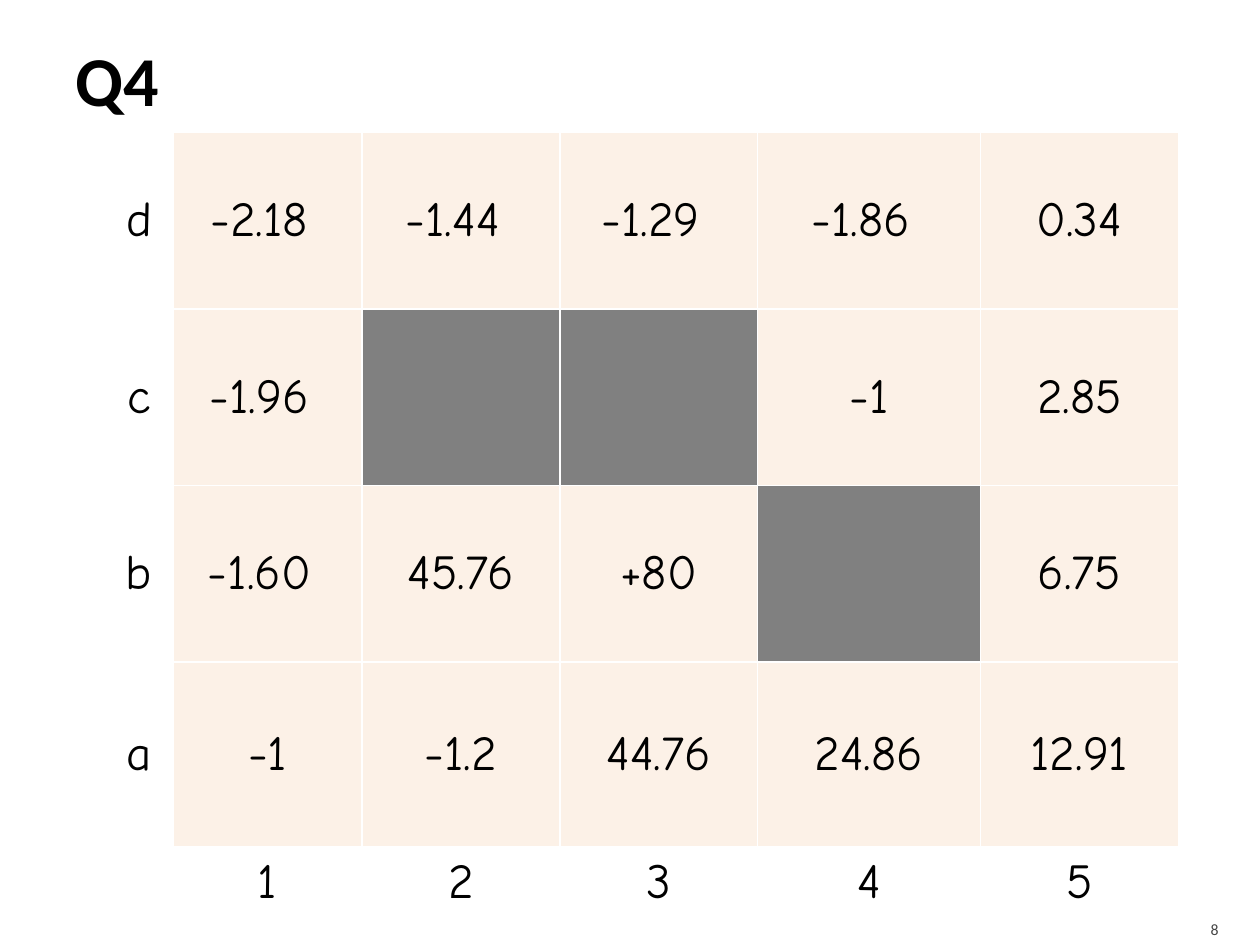
from dataclasses import dataclass

from lxml import etree
from pptx import Presentation
from pptx.dml.color import RGBColor
from pptx.enum import text
from pptx.oxml import ns
from pptx.util import Pt


@dataclass(frozen=True)
class Theme:
    title_font: str = "Calibri"
    grid_font: str = "Comic Neue"
    title_size: int = 40
    grid_size: int = 28
    number_size: int = 9
    ink: str = "000000"
    muted: str = "454545"
    open_cell: str = "FCF1E7"
    wall: str = "808080"
    border: str = "FFFFFF"


theme = Theme()


def style_paragraph(paragraph, font, size, color, alignment, bold=False):
    paragraph.alignment = alignment
    paragraph.font.name = font
    paragraph.font.size = Pt(size)
    paragraph.font.bold = bold
    paragraph.font.color.rgb = RGBColor.from_string(color)


def add_borders(cell):
    properties = cell._tc.get_or_add_tcPr()
    for side in ("lnL", "lnR", "lnT", "lnB"):
        line = etree.SubElement(properties, ns.qn(f"a:{side}"), w=str(Pt(1)))
        fill = etree.SubElement(line, ns.qn("a:solidFill"))
        etree.SubElement(fill, ns.qn("a:srgbClr"), val=theme.border)


presentation = Presentation()
presentation.slide_width, presentation.slide_height = Pt(720), Pt(540)
slide = presentation.slides.add_slide(presentation.slide_layouts[5])

# Title
title = slide.shapes.title
title.left, title.top, title.width, title.height = Pt(36), Pt(5.76), Pt(648), Pt(77.76)
frame = title.text_frame
frame.text = "Q4"
frame.vertical_anchor = text.MSO_ANCHOR.MIDDLE
frame.margin_left = Pt(7.2)
frame.margin_right = frame.margin_top = frame.margin_bottom = Pt(3.6)
style_paragraph(frame.paragraphs[0], theme.title_font, theme.title_size, theme.ink,
                text.PP_ALIGN.LEFT, bold=True)

# Slide number
number = slide.shapes.add_textbox(Pt(645.84), Pt(518.4), Pt(57.6), Pt(21.6))
frame = number.text_frame
frame.text = "8"
frame.word_wrap = True
frame.vertical_anchor = text.MSO_ANCHOR.MIDDLE
frame.margin_bottom = 0
style_paragraph(frame.paragraphs[0], theme.title_font, theme.number_size, theme.muted,
                text.PP_ALIGN.RIGHT)

# Grid of values: row letters on the left, column numbers below, None is a wall
grid = [
    ["d", "-2.18 ", "-1.44 ", "-1.29 ", "-1.86 ", "0.34"],
    ["c", "-1.96 ", None, None, "-1", "2.85"],
    ["b", "-1.60 ", "45.76", "+80", None, "6.75"],
    ["a", "-1", "-1.2", "44.76", "24.86", "12.91"],
    ["", "1", "2", "3", "4", "5"],
]
column_widths = [38.88, 108, 113.04, 113.04, 127.44, 113.04]
row_heights = [100.8, 100.8, 100.8, 105.84, 40.32]

table = slide.shapes.add_table(
    len(row_heights), len(column_widths), Pt(60), Pt(75.8),
    Pt(sum(column_widths)), Pt(sum(row_heights))).table
table.first_row = table.horz_banding = False
for column, width in zip(table.columns, column_widths):
    column.width = Pt(width)
for row, height in zip(table.rows, row_heights):
    row.height = Pt(height)

for row_index, values in enumerate(grid):
    for column_index, value in enumerate(values):
        cell = table.cell(row_index, column_index)
        cell.text = value or ""
        cell.vertical_anchor = text.MSO_ANCHOR.MIDDLE
        style_paragraph(cell.text_frame.paragraphs[0], theme.grid_font, theme.grid_size,
                        theme.ink, text.PP_ALIGN.CENTER)
        add_borders(cell)
        if column_index == 0 or row_index == len(grid) - 1:
            cell.fill.background()
        else:
            cell.fill.solid()
            color = theme.wall if value is None else theme.open_cell
            cell.fill.fore_color.rgb = RGBColor.from_string(color)

presentation.save("out.pptx")
